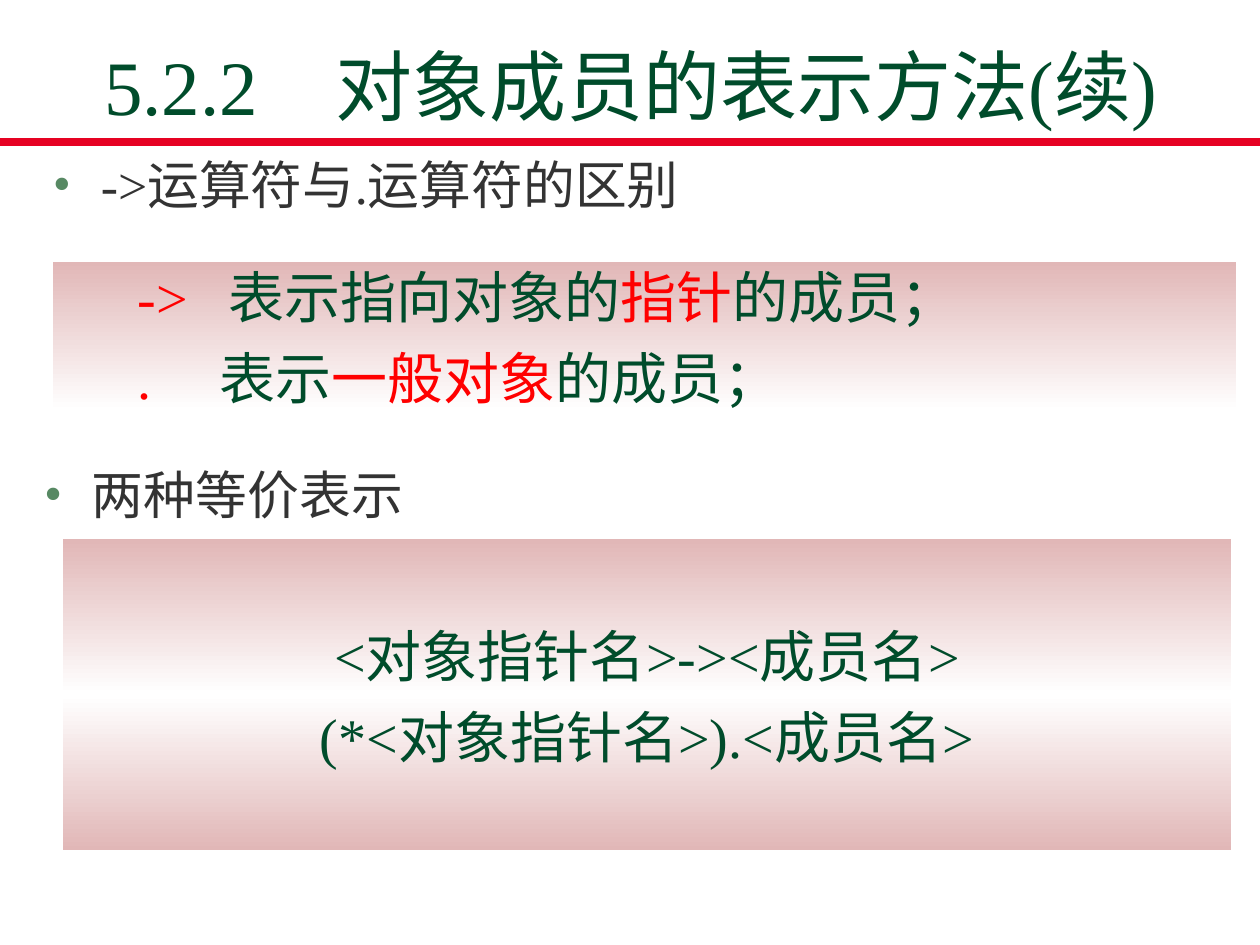
"""Build the slide comparing the -> and . member operators."""
from typing import NamedTuple

import lxml.etree
import pptx
import pptx.dml.color
import pptx.enum.shapes
import pptx.enum.text
import pptx.oxml
import pptx.oxml.ns
import pptx.util

Inches = pptx.util.Inches
RGBColor = pptx.dml.color.RGBColor
Align = pptx.enum.text.PP_ALIGN
Anchor = pptx.enum.text.MSO_ANCHOR
qn = pptx.oxml.ns.qn

GREEN = RGBColor(0x00, 0x4C, 0x2B)
RED = RGBColor(0xFF, 0x00, 0x00)
GREY = RGBColor(0x33, 0x33, 0x33)
BULLET_GREEN = RGBColor(0x57, 0x89, 0x63)
RULE_RED = RGBColor(0xE6, 0x02, 0x23)
PINK = RGBColor(0xE1, 0xB7, 0xB7)
WHITE = RGBColor(0xFF, 0xFF, 0xFF)
FONT = "Times New Roman"


class Span(NamedTuple):
    text: str
    color: RGBColor = GREEN


class Line(NamedTuple):
    spans: list[Span]
    tab: float | None = None


class Bullet(NamedTuple):
    text: str
    left: float
    top: float


class Panel(NamedTuple):
    left: float
    top: float
    width: float
    height: float
    gradient: list[RGBColor]
    lines: list[Line]
    align: Align
    inset_left: float = 0
    inset_top: float = 0


BULLETS = [
    Bullet("->运算符与.运算符的区别", 0.42, 1.21),
    Bullet("两种等价表示", 0.35, 3.67),
]
PANELS = [
    Panel(0.42, 2.08, 9.39, 1.18, [PINK, WHITE], [
        Line([Span("->\t", RED), Span("表示指向对象的"),
              Span("指针", RED), Span("的成员；")], tab=0.72),
        Line([Span(".\t", RED), Span("表示"),
              Span("一般对象", RED), Span("的成员；")], tab=0.65),
    ], Align.LEFT, inset_left=0.67),
    Panel(0.5, 4.28, 9.27, 2.47, [PINK, WHITE, PINK], [
        Line([Span("<对象指针名>-><成员名>")]),
        Line([Span("(*<对象指针名>).<成员名>")]),
    ], Align.CENTER, inset_top=0.65),
]


def place(shape, left: float, top: float, width: float, height: float) -> None:
    """Move and size a shape, in inches."""
    shape.left, shape.top = Inches(left), Inches(top)
    shape.width, shape.height = Inches(width), Inches(height)


def write(frame, lines: list[Line], *, size: float, align: Align, anchor: Anchor,
          before: float = 8, inset_left: float = 0, inset_top: float = 0) -> None:
    """Fill a text frame with formatted lines."""
    frame.word_wrap = True
    frame.auto_size = pptx.enum.text.MSO_AUTO_SIZE.NONE
    frame.vertical_anchor = anchor
    frame.margin_left, frame.margin_top = Inches(inset_left), Inches(inset_top)
    frame.margin_right = frame.margin_bottom = 0
    for index, line in enumerate(lines):
        paragraph = frame.add_paragraph() if index else frame.paragraphs[0]
        paragraph.alignment = align
        paragraph.space_before = pptx.util.Pt(before)
        for span in line.spans:
            run = paragraph.add_run()
            run.text = span.text
            run.font.name = FONT
            run.font.size = pptx.util.Pt(size)
            run.font.color.rgb = span.color
        if line.tab is not None:
            tabs = lxml.etree.SubElement(paragraph._p.get_or_add_pPr(), qn("a:tabLst"))
            lxml.etree.SubElement(tabs, qn("a:tab"), pos=str(Inches(line.tab)), algn="l")


def add_bullet(placeholder, bullet: Bullet) -> None:
    """Turn a body placeholder into one bulleted line."""
    place(placeholder, bullet.left, bullet.top, 8.5, 0.5)
    frame = placeholder.text_frame
    write(frame, [Line([Span(bullet.text, GREY)])], size=29.6,
          align=Align.LEFT, anchor=Anchor.MIDDLE)
    properties = frame.paragraphs[0]._p.get_or_add_pPr()
    indent = Inches(0.38)
    properties.set("marL", str(indent))
    properties.set("indent", str(-indent))
    color = lxml.etree.SubElement(properties, qn("a:buClr"))
    lxml.etree.SubElement(color, qn("a:srgbClr"), val=str(BULLET_GREEN))
    lxml.etree.SubElement(properties, qn("a:buFont"), typeface=FONT)
    lxml.etree.SubElement(properties, qn("a:buChar"), char="•")


def add_panel(slide, panel: Panel) -> None:
    """Draw a vertically shaded rectangle with its lines."""
    box = slide.shapes.add_shape(
        pptx.enum.shapes.MSO_SHAPE.RECTANGLE, Inches(panel.left), Inches(panel.top),
        Inches(panel.width), Inches(panel.height))
    box.shadow.inherit = False
    box.line.fill.background()
    box.fill.gradient()
    box.fill.gradient_angle = 270
    stops = box._element.spPr.find(qn("a:gradFill")).find(qn("a:gsLst"))
    for stop in list(stops):
        stops.remove(stop)
    for index, color in enumerate(panel.gradient):
        position = 100000 * index // (len(panel.gradient) - 1)
        stop = lxml.etree.SubElement(stops, qn("a:gs"), pos=str(position))
        lxml.etree.SubElement(stop, qn("a:srgbClr"), val=str(color))
    write(box.text_frame, panel.lines, size=32, align=panel.align, anchor=Anchor.TOP,
          inset_left=panel.inset_left, inset_top=panel.inset_top)


def add_rule(slide, top: float) -> None:
    """Draw the red rule across the slide."""
    rule = slide.shapes.add_connector(
        pptx.enum.shapes.MSO_CONNECTOR.STRAIGHT, 0, Inches(top), Inches(10), Inches(top))
    rule.line.color.rgb = RULE_RED
    rule.line.width = pptx.util.Pt(4.5)
    lxml.etree.SubElement(rule._element.spPr, qn("a:effectLst"))


def main() -> None:
    """Assemble and save the slide."""
    deck = pptx.Presentation()
    deck.slide_width, deck.slide_height = Inches(10), Inches(7.5)
    slide = deck.slides.add_slide(deck.slide_layouts[3])
    title, *bodies = slide.placeholders
    place(title, 0.42, 0.38, 9.17, 0.58)
    write(title.text_frame, [Line([Span("5.2.2　对象成员的表示方法(续)")])], size=44,
          align=Align.CENTER, anchor=Anchor.MIDDLE, before=0)
    add_rule(slide, 1.13)
    for body, bullet in zip(bodies, BULLETS):
        add_bullet(body, bullet)
    for panel in PANELS:
        add_panel(slide, panel)
    deck.save("out.pptx")


if __name__ == "__main__":
    main()
